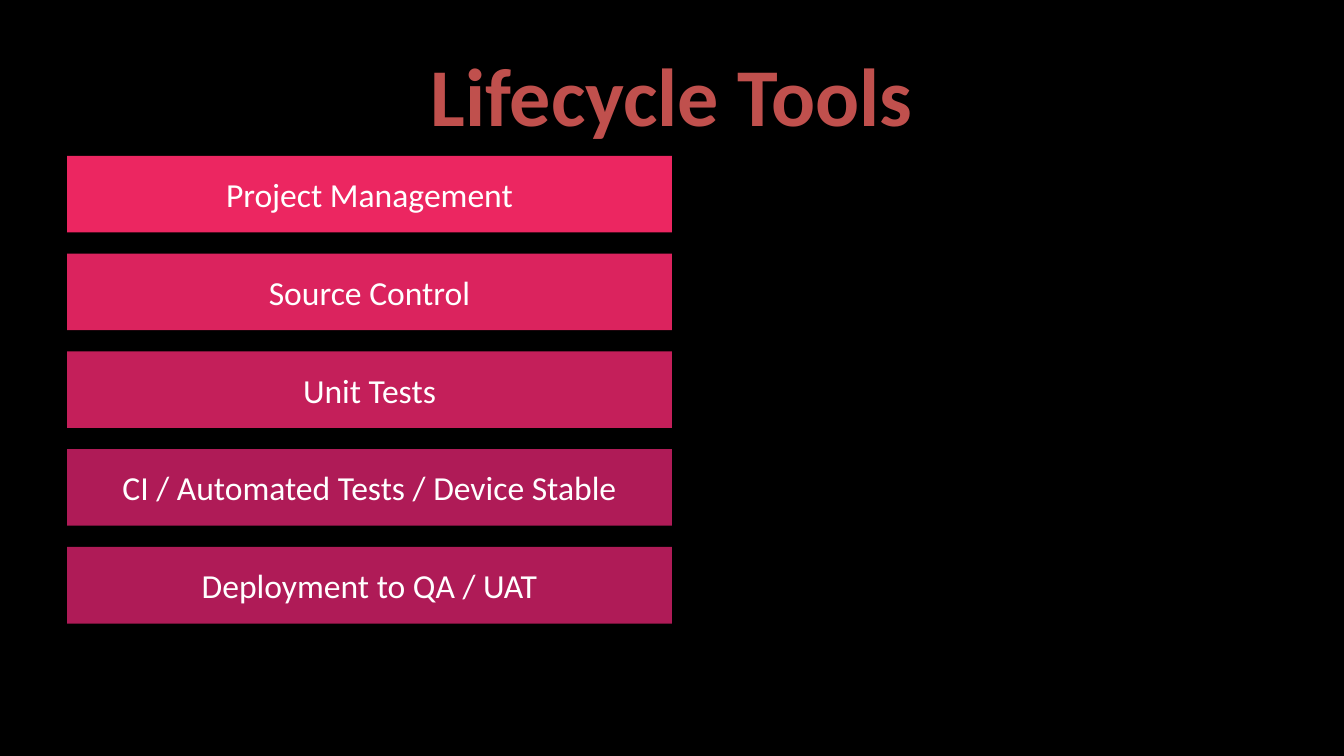
from pptx import Presentation
from pptx.dml.color import RGBColor
from pptx.enum.shapes import MSO_SHAPE
from pptx.enum.text import MSO_ANCHOR, PP_ALIGN
from pptx.util import Inches, Pt

RECTANGLE = MSO_SHAPE.RECTANGLE
MIDDLE = MSO_ANCHOR.MIDDLE
CENTER = PP_ALIGN.CENTER

FONT = "Calibri"
BLACK = RGBColor(0x00, 0x00, 0x00)
WHITE = RGBColor(0xFF, 0xFF, 0xFF)
BRICK_RED = RGBColor(0xC0, 0x50, 0x4D)

# Label and fill of each bar, from top to bottom
TOOLS = [
    ("Project Management", RGBColor(0xEC, 0x26, 0x61)),
    ("Source Control", RGBColor(0xDB, 0x23, 0x5E)),
    ("Unit Tests", RGBColor(0xC4, 0x1F, 0x5A)),
    ("CI / Automated Tests / Device Stable", RGBColor(0xAF, 0x1B, 0x57)),
    ("Deployment to QA / UAT", RGBColor(0xAF, 0x1B, 0x57)),
]
SLIDE_WIDTH = 10
SLIDE_HEIGHT = SLIDE_WIDTH * 9 / 16
LEFT = 0.5
FIRST_BAR_TOP = 1.16
LAST_BAR_TOP = 4.07
BAR_PITCH = (LAST_BAR_TOP - FIRST_BAR_TOP) / (len(TOOLS) - 1)
BAR_WIDTH = 4.5
BAR_HEIGHT = 0.57


def write_text(shape, text, size, color, bold=False):
    frame = shape.text_frame
    frame.word_wrap = True
    frame.vertical_anchor = MIDDLE
    paragraph = frame.paragraphs[0]
    paragraph.alignment = CENTER
    run = paragraph.add_run()
    run.text = text
    run.font.name = FONT
    run.font.size = Pt(size)
    run.font.bold = bold
    run.font.color.rgb = color


def add_title(slide, text):
    title = slide.shapes.add_textbox(
        Inches(LEFT), Inches(0.23), Inches(9), Inches(0.94))
    write_text(title, text, 44, BRICK_RED, bold=True)


def add_bar(slide, top, label, color):
    bar = slide.shapes.add_shape(
        RECTANGLE, Inches(LEFT), Inches(top),
        Inches(BAR_WIDTH), Inches(BAR_HEIGHT))
    bar.shadow.inherit = False
    bar.fill.solid()
    bar.fill.fore_color.rgb = color
    bar.line.fill.background()
    write_text(bar, label, 18, WHITE)


def main():
    presentation = Presentation()
    presentation.slide_width = Inches(SLIDE_WIDTH)
    presentation.slide_height = Inches(SLIDE_HEIGHT)
    slide = presentation.slides.add_slide(presentation.slide_layouts[6])

    # Background
    slide.background.fill.solid()
    slide.background.fill.fore_color.rgb = BLACK

    # Title and stack of bars
    add_title(slide, "Lifecycle Tools")
    for index, (label, color) in enumerate(TOOLS):
        add_bar(slide, FIRST_BAR_TOP + index * BAR_PITCH, label, color)

    presentation.save("out.pptx")


if __name__ == "__main__":
    main()
